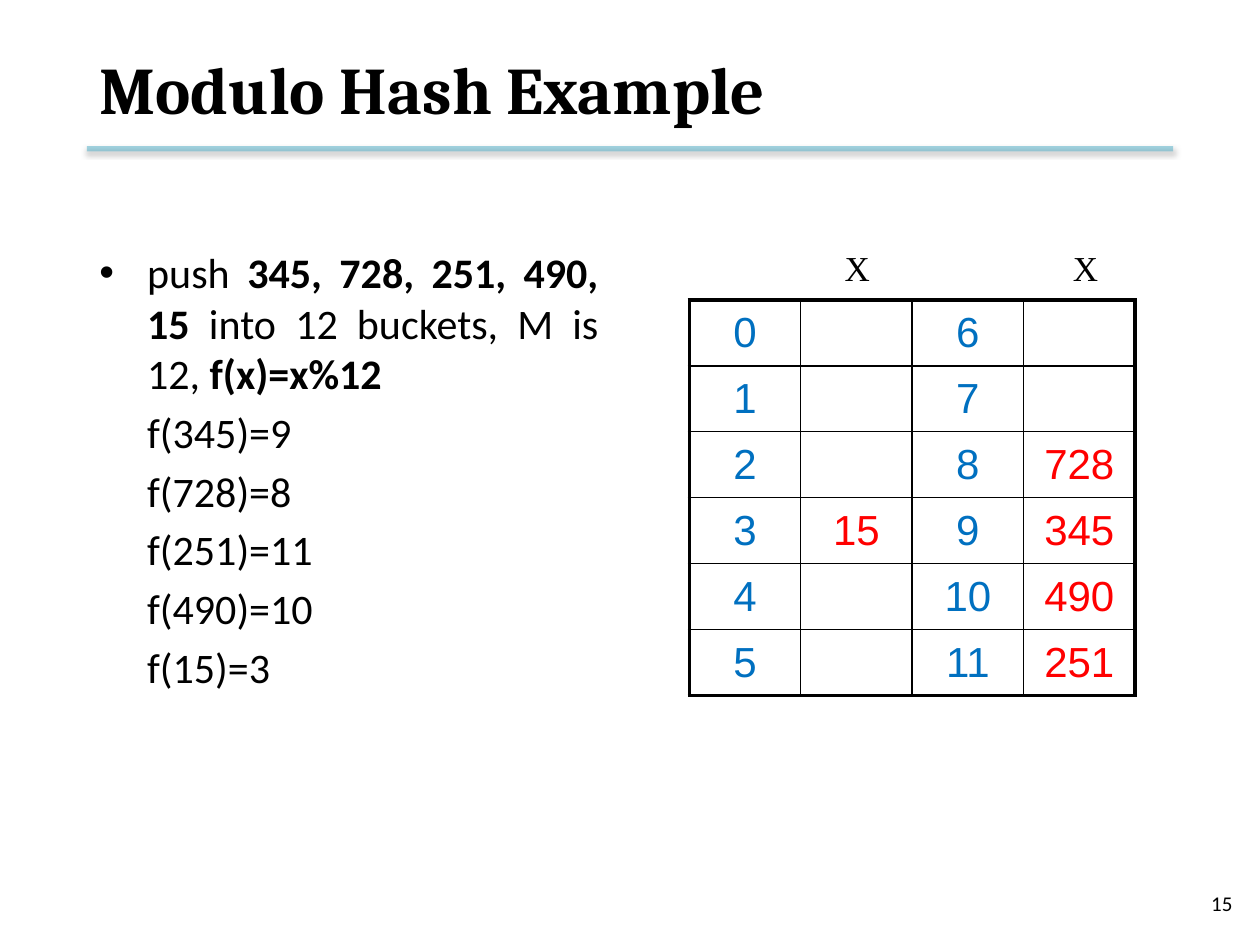
from dataclasses import dataclass

from lxml.etree import SubElement
from pptx import Presentation
from pptx.dml.color import RGBColor
from pptx.enum.shapes import MSO_CONNECTOR
from pptx.enum.text import MSO_ANCHOR, PP_ALIGN
from pptx.oxml.ns import qn
from pptx.util import Inches, Pt

BLACK = RGBColor(0x00, 0x00, 0x00)
BLUE = RGBColor(0x00, 0x70, 0xC0)
RED = RGBColor(0xFF, 0x00, 0x00)
TEAL = RGBColor(0x4B, 0xAC, 0xC6)

BUCKETS = 12
ROWS = 6
VALUES = [345, 728, 251, 490, 15]
THIN, THICK = 1, 2.25


@dataclass
class Label:
    text: str
    left: float
    top: float
    width: float
    height: float
    font: str
    size: float
    bold: bool = False
    align: PP_ALIGN = PP_ALIGN.LEFT
    anchor: MSO_ANCHOR = MSO_ANCHOR.TOP


LABELS = [
    Label("Modulo Hash Example", 0.69, 0.17, 8.62, 1.06, "Cambria", 38,
          bold=True, anchor=MSO_ANCHOR.MIDDLE),
    Label("15", 7.55, 6.97, 2.33, 0.4, "Calibri", 12,
          align=PP_ALIGN.RIGHT, anchor=MSO_ANCHOR.MIDDLE),
    *(Label("X", left, 1.91, 0.63, 0.43, "Times New Roman", 20,
            align=PP_ALIGN.CENTER) for left in (6.49, 8.3)),
]


def set_font(p, name: str, size: float, color: RGBColor) -> None:
    p.font.name = name
    p.font.size = Pt(size)
    p.font.color.rgb = color


def add_box(slide, left: float, top: float, width: float, height: float):
    sp = slide.shapes.add_textbox(Inches(left), Inches(top), Inches(width), Inches(height))
    sp.text_frame.word_wrap = True
    return sp.text_frame


def add_label(slide, label: Label) -> None:
    tf = add_box(slide, label.left, label.top, label.width, label.height)
    tf.vertical_anchor = label.anchor
    p = tf.paragraphs[0]
    p.text = label.text
    p.alignment = label.align
    set_font(p, label.font, label.size, BLACK)
    p.font.bold = label.bold


def add_title_rule(slide) -> None:
    rule = slide.shapes.add_connector(
        MSO_CONNECTOR.STRAIGHT, Inches(0.69), Inches(1.18), Inches(9.31), Inches(1.18))
    rule.line.width = Pt(3)
    rule.line.color.rgb = TEAL
    sp_pr = rule.element.spPr
    SubElement(next(sp_pr.iter(qn("a:srgbClr"))), qn("a:alpha"), val="50000")
    effects = SubElement(sp_pr, qn("a:effectLst"))
    shadow = SubElement(effects, qn("a:outerShdw"), blurRad=str(Pt(3.1)),
                        dist=str(Pt(1.6)), dir="5400000", rotWithShape="0")
    color = SubElement(shadow, qn("a:srgbClr"), val=str(BLACK))
    SubElement(color, qn("a:alpha"), val="38000")


def add_steps(slide) -> None:
    tf = add_box(slide, 0.69, 1.91, 4.16, 4.07)
    intro = [("push ", False), (", ".join(map(str, VALUES)) + " ", True),
             (f"into {BUCKETS} buckets, M is {BUCKETS}, ", False),
             (f"f(x)=x%{BUCKETS}", True)]
    steps = [[(f"f({value})={value % BUCKETS}", False)] for value in VALUES]
    for i, runs in enumerate([intro, *steps]):
        p = tf.paragraphs[0] if i == 0 else tf.add_paragraph()
        p.alignment = PP_ALIGN.JUSTIFY
        p_pr = p._p.get_or_add_pPr()
        p_pr.set("marL", str(Inches(0.38)))
        if i == 0:
            p_pr.set("indent", str(Inches(-0.38)))
            SubElement(p_pr, qn("a:buFont"), typeface="Arial")
            SubElement(p_pr, qn("a:buChar"), char="•")
        else:
            p_pr.set("indent", "0")
            p.space_before = Pt(4.8)
        set_font(p, "Calibri", 24, BLACK)
        for text, bold in runs:
            r = p.add_run()
            r.text = text
            r.font.bold = bold


def set_borders(cell, widths: dict[str, float]) -> None:
    tc_pr = cell._tc.get_or_add_tcPr()
    for side, width in widths.items():
        ln = SubElement(tc_pr, qn(f"a:ln{side}"), w=str(Pt(width)))
        fill = SubElement(ln, qn("a:solidFill"))
        SubElement(fill, qn("a:srgbClr"), val=str(BLACK))


def add_bucket_table(slide) -> None:
    cols = 2 * BUCKETS // ROWS
    table = slide.shapes.add_table(
        ROWS, cols, Inches(5.47), Inches(2.38), Inches(3.54), Inches(3.14)).table
    table.first_row = False
    table.horz_banding = False
    stored = {value % BUCKETS: str(value) for value in VALUES}
    for row in range(ROWS):
        for col in range(cols):
            # Bucket numbers alternate with the values they hold
            bucket = row + col // 2 * ROWS
            is_value = col % 2 == 1
            cell = table.cell(row, col)
            cell.vertical_anchor = MSO_ANCHOR.MIDDLE
            p = cell.text_frame.paragraphs[0]
            p.text = stored.get(bucket, "") if is_value else str(bucket)
            p.alignment = PP_ALIGN.CENTER
            set_font(p, "Arial", 24, RED if is_value else BLUE)
            set_borders(cell, {
                "L": THICK if col == 0 else THIN,
                "R": THICK if col == cols - 1 else THIN,
                "T": THICK if row == 0 else THIN,
                "B": THICK if row == ROWS - 1 else THIN,
            })
            cell.fill.background()


def main() -> None:
    prs = Presentation()
    prs.slide_width = Inches(10)
    prs.slide_height = Inches(7.5)
    slide = prs.slides.add_slide(prs.slide_layouts[6])

    # Title rule, title, page number and column marks
    add_title_rule(slide)
    for label in LABELS:
        add_label(slide, label)

    # Hash table and worked steps
    add_bucket_table(slide)
    add_steps(slide)
    prs.save("out.pptx")


if __name__ == "__main__":
    main()
